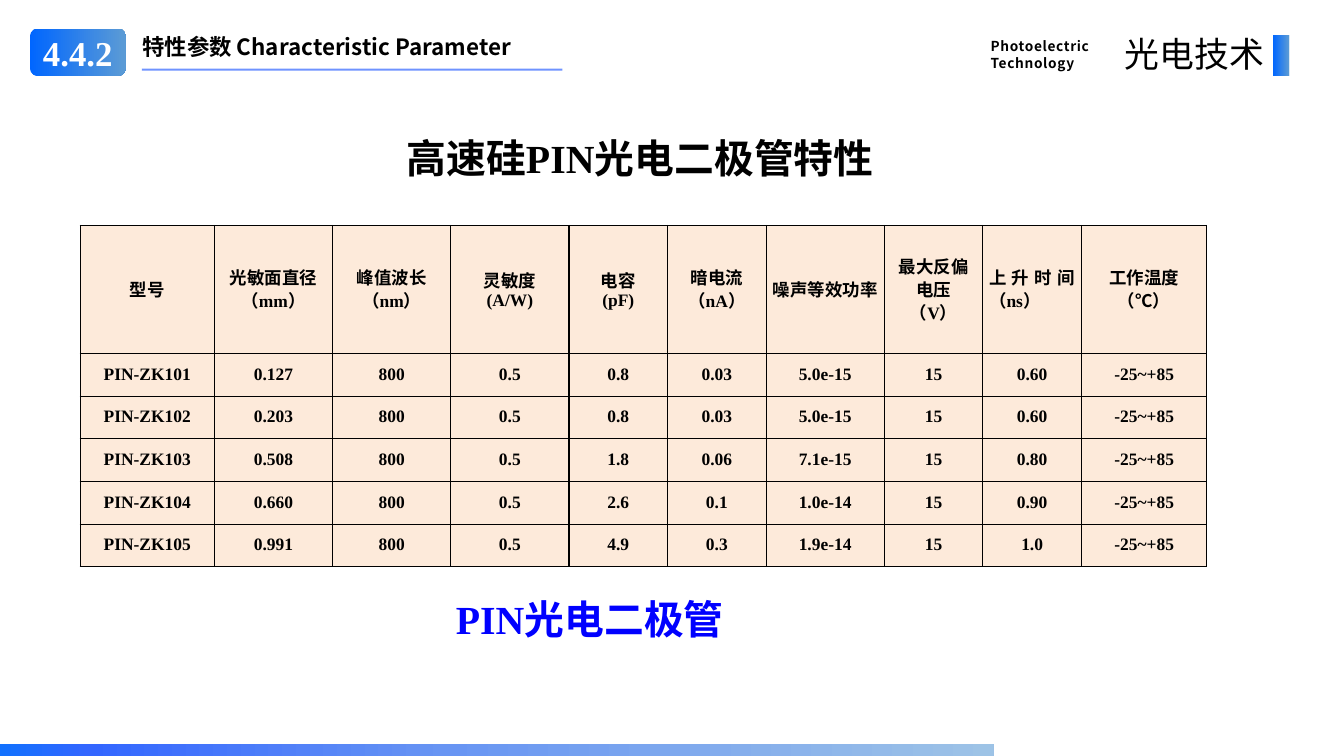
from lxml.etree import SubElement
from pptx import Presentation
from pptx.dml.color import RGBColor
from pptx.enum.shapes import MSO_CONNECTOR as Connector, MSO_SHAPE as Shape
from pptx.enum.text import MSO_ANCHOR as Anchor, MSO_AUTO_SIZE as AutoSize, PP_ALIGN as Align
from pptx.oxml.ns import qn
from pptx.util import Pt

BLACK = RGBColor(0x00, 0x00, 0x00)
WHITE = RGBColor(0xFF, 0xFF, 0xFF)
CAPTION_BLUE = RGBColor(0x00, 0x00, 0xFF)
ACCENT_BLUE = RGBColor(0x33, 0x66, 0xFF)
PEACH = RGBColor(0xFD, 0xEA, 0xDA)

BADGE_STOPS = [(0, RGBColor(0x00, 0x66, 0xFF)), (100, RGBColor(0x5B, 0x9B, 0xD5))]
FOOTER_STOPS = [(0, RGBColor(0x12, 0x71, 0xFE)), (9, ACCENT_BLUE),
                (45, RGBColor(0x68, 0x95, 0xF3)), (100, RGBColor(0x9D, 0xC3, 0xE6))]

SERIF = "Times New Roman"
SANS = "Noto Sans CJK SC"
HEADING = {"name": SERIF, "size": Pt(32), "bold": True}
CELL_FONT = {"name": SERIF, "size": Pt(14), "bold": True}
CELL_FORMAT = {"vertical_anchor": Anchor.MIDDLE, "margin_left": Pt(5), "margin_right": Pt(5),
               "margin_top": 0, "margin_bottom": 0}

COLUMN_WIDTHS = [107.8, 95, 95, 95, 79.2, 79.2, 95, 79.2, 79.2, 100.8]
HEADER_HEIGHT, ROW_HEIGHT = 103, 34.25
HEADERS = ["型号", "光敏面直径（mm）", "峰值波长\n（nm）", "灵敏度\n(A/W)", "电容\n(pF)",
           "暗电流\n（nA）", "噪声等效功率", "最大反偏电压\n（V）", "上升时间（ns）",
           "工作温度\n（℃）"]
RISE_TIME = HEADERS.index("上升时间（ns）")
# model, diameter, capacitance, dark current, noise power, rise time
DIODES = [
    ("PIN-ZK101", "0.127", "0.8", "0.03", "5.0e-15", "0.60"),
    ("PIN-ZK102", "0.203", "0.8", "0.03", "5.0e-15", "0.60"),
    ("PIN-ZK103", "0.508", "1.8", "0.06", "7.1e-15", "0.80"),
    ("PIN-ZK104", "0.660", "2.6", "0.1", "1.0e-14", "0.90"),
    ("PIN-ZK105", "0.991", "4.9", "0.3", "1.9e-14", "1.0"),
]
WAVELENGTH, SENSITIVITY, MAX_BIAS, TEMPERATURE = "800", "0.5", "15", "-25~+85"


def apply(target, values):
    for attribute, value in values.items():
        setattr(target, attribute, value)


def write(frame, text, font, color=BLACK, tracking=0, **paragraph_format):
    """Fill a text frame, one paragraph for each line of text."""
    frame.text = text
    for paragraph in frame.paragraphs:
        apply(paragraph, paragraph_format)
        for run in paragraph.runs:
            apply(run.font, font)
            run.font.color.rgb = color
            properties = run.font._element
            if tracking:
                properties.set("spc", str(round(tracking * 100)))
            SubElement(properties, qn("a:ea"), typeface=SANS)


def add_label(slide, box, text, font, **style):
    frame = slide.shapes.add_textbox(*map(Pt, box)).text_frame
    apply(frame, {"word_wrap": True, "auto_size": AutoSize.SHAPE_TO_FIT_TEXT})
    write(frame, text, font, **style)


def add_gradient_shape(slide, kind, box, stops):
    shape = slide.shapes.add_shape(kind, *map(Pt, box))
    shape.shadow.inherit = False
    shape.line.fill.background()
    shape.fill.gradient()
    shape.fill.gradient_angle = 0
    stop_list = shape._element.spPr.find(".//" + qn("a:gsLst"))
    stop_list.clear()
    for position, color in stops:
        stop = SubElement(stop_list, qn("a:gs"), pos=str(position * 1000))
        SubElement(stop, qn("a:srgbClr"), val=str(color))
    return shape


def add_underline(slide, left, right, y):
    line = slide.shapes.add_connector(Connector.STRAIGHT, Pt(left), Pt(y), Pt(right), Pt(y))
    line.line.width = Pt(1.5)
    line.line.color.rgb = ACCENT_BLUE
    properties = line._element.spPr
    SubElement(properties.find(".//" + qn("a:srgbClr")), qn("a:alpha"), val="70000")
    SubElement(properties, qn("a:effectLst"))


def add_borders(cell):
    properties = cell._tc.get_or_add_tcPr()
    for index, side in enumerate(("a:lnL", "a:lnR", "a:lnT", "a:lnB")):
        border = properties.makeelement(qn(side), {"w": str(Pt(1))})
        fill = SubElement(border, qn("a:solidFill"))
        SubElement(fill, qn("a:srgbClr"), val=str(BLACK))
        properties.insert(index, border)


def add_diode_table(slide, left, top):
    rows = [HEADERS] + [
        [model, diameter, WAVELENGTH, SENSITIVITY, capacitance, dark_current, noise,
         MAX_BIAS, rise_time, TEMPERATURE]
        for model, diameter, capacitance, dark_current, noise, rise_time in DIODES]
    heights = [HEADER_HEIGHT] + [ROW_HEIGHT] * len(DIODES)
    table = slide.shapes.add_table(len(rows), len(HEADERS), Pt(left), Pt(top),
                                   Pt(sum(COLUMN_WIDTHS)), Pt(sum(heights))).table
    for column, width in zip(table.columns, COLUMN_WIDTHS):
        column.width = Pt(width)
    for r, (values, height) in enumerate(zip(rows, heights)):
        table.rows[r].height = Pt(height)
        for c, value in enumerate(values):
            cell = table.cell(r, c)
            apply(cell, CELL_FORMAT)
            cell.fill.solid()
            cell.fill.fore_color.rgb = PEACH
            add_borders(cell)
            justified = r == 0 and c == RISE_TIME
            write(cell.text_frame, value, CELL_FONT, line_spacing=0.9,
                  alignment=Align.JUSTIFY if justified else Align.CENTER)


def add_page_header(slide):
    add_label(slide, (107.3, 23, 388, 29), "特性参数 Characteristic Parameter",
              {"name": SANS, "size": Pt(18), "bold": True})
    add_label(slide, (789, 26, 114, 35), "Photoelectric\nTechnology",
              {"name": SANS, "size": Pt(11), "bold": True}, tracking=0.5, line_spacing=Pt(14))
    add_gradient_shape(slide, Shape.RECTANGLE, (1023, 28.5, 13, 32.5), BADGE_STOPS)
    badge = add_gradient_shape(slide, Shape.ROUNDED_RECTANGLE, (24, 23, 77, 38), BADGE_STOPS)
    badge.text_frame.vertical_anchor = Anchor.MIDDLE
    write(badge.text_frame, "4.4.2", {"name": SERIF, "size": Pt(28), "bold": True},
          color=WHITE, alignment=Align.CENTER)
    add_underline(slide, 114, 452, 56)
    add_label(slide, (886, 23, 137, 41), "光电技术", {"name": SANS, "size": Pt(28)},
              tracking=0.2, alignment=Align.RIGHT)


def main():
    presentation = Presentation()
    apply(presentation, {"slide_width": Pt(1080), "slide_height": Pt(607.5)})
    slide = presentation.slides.add_slide(presentation.slide_layouts[6])
    add_diode_table(slide, 64.5, 181.2)
    add_label(slide, (319.5, 103.5, 410, 45.5), "高速硅PIN光电二极管特性", HEADING)
    add_label(slide, (359.3, 474.5, 240.5, 45.5), "PIN光电二极管", HEADING, color=CAPTION_BLUE)
    add_page_header(slide)
    add_gradient_shape(slide, Shape.RECTANGLE, (0, 597.5, 798.5, 10), FOOTER_STOPS)
    presentation.save("out.pptx")


if __name__ == "__main__":
    main()
